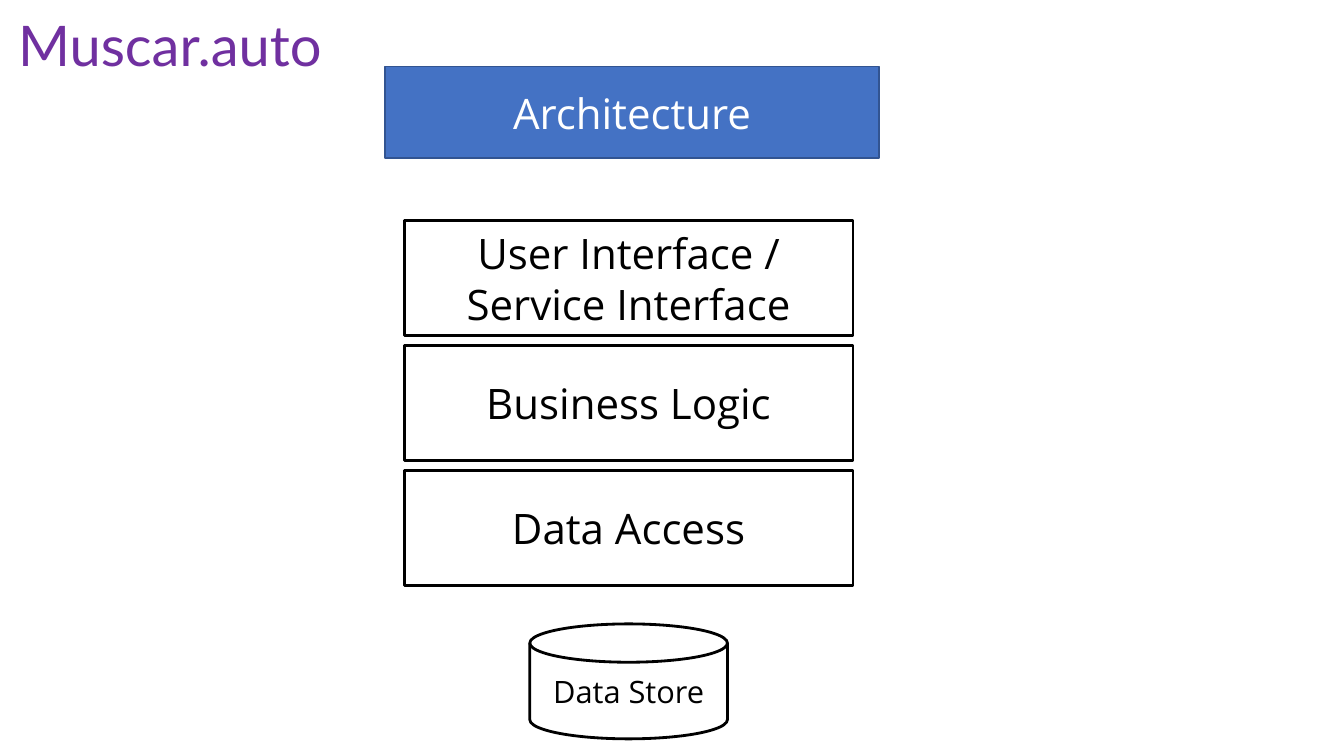
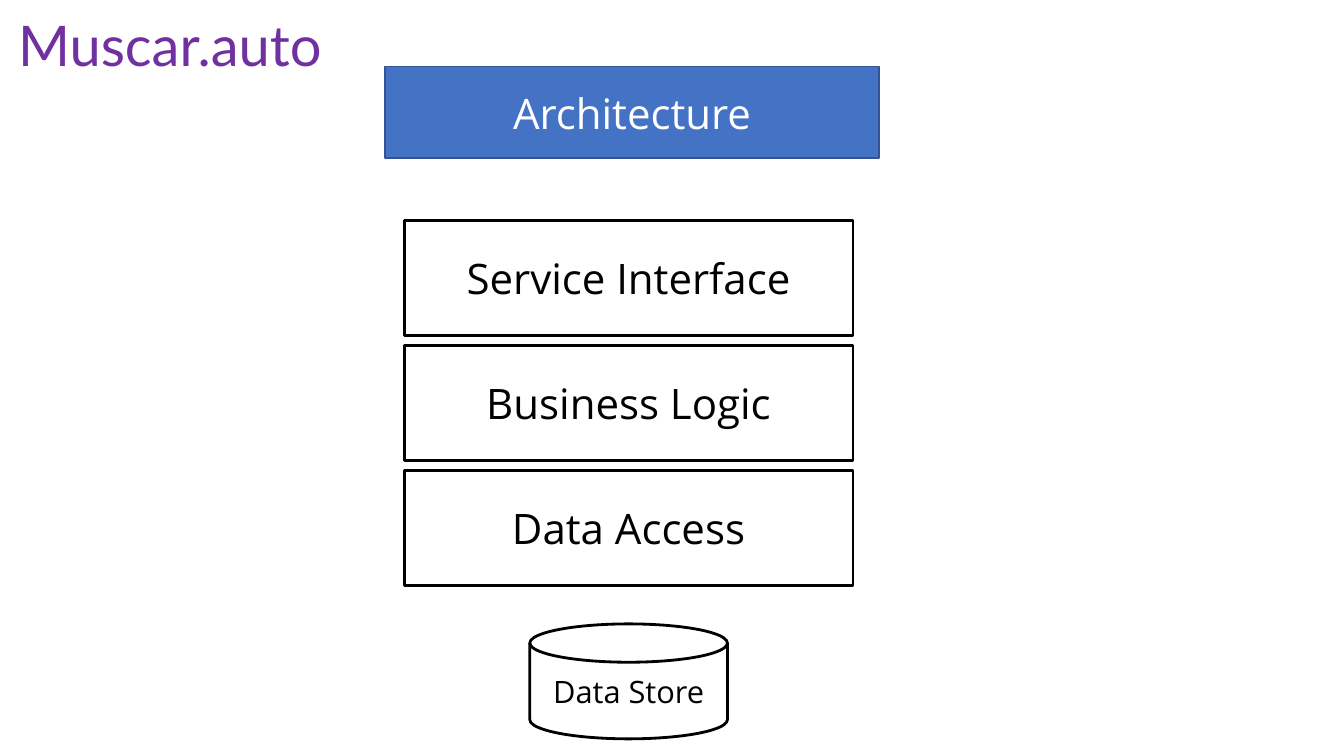
from dataclasses import dataclass

from pptx import Presentation
from pptx.dml.color import RGBColor
from pptx.enum.shapes import MSO_SHAPE
from pptx.enum.text import MSO_ANCHOR, MSO_AUTO_SIZE, PP_ALIGN
from pptx.util import Inches, Pt

RECT = MSO_SHAPE.RECTANGLE
DISK = MSO_SHAPE.FLOWCHART_MAGNETIC_DISK
MIDDLE = MSO_ANCHOR.MIDDLE
NO_FIT = MSO_AUTO_SIZE.NONE
LEFT = PP_ALIGN.LEFT
CENTER = PP_ALIGN.CENTER


@dataclass(frozen=True)
class Theme:
    blue: RGBColor = RGBColor(0x44, 0x72, 0xC4)
    dark_blue: RGBColor = RGBColor(0x32, 0x54, 0x91)
    purple: RGBColor = RGBColor(0x70, 0x30, 0xA0)
    black: RGBColor = RGBColor(0, 0, 0)
    white: RGBColor = RGBColor(255, 255, 255)
    title_font: str = "Lato"
    body_font: str = "Open Sans"
    title_size: int = 40
    box_size: int = 30
    disk_size: int = 22


THEME = Theme()


def set_text(sp, text, *, size=THEME.box_size, color=THEME.black,
             font=THEME.body_font, align=CENTER, spacing=None, after=None):
    tf = sp.text_frame
    tf.word_wrap = True
    tf.auto_size = NO_FIT
    tf.vertical_anchor = MIDDLE
    p = tf.paragraphs[0]
    p.alignment = align
    if spacing is not None:
        p.line_spacing = spacing
    if after is not None:
        p.space_after = Pt(after)
    r = p.add_run()
    r.text = text
    r.font.name = font
    r.font.size = Pt(size)
    r.font.color.rgb = color


def add_box(slide, kind, left, top, width, height, text, *,
            fill=None, line=THEME.black, weight=2, **text_format):
    sp = slide.shapes.add_shape(
        kind, Inches(left), Inches(top), Inches(width), Inches(height))
    sp.shadow.inherit = False
    if fill is None:
        sp.fill.background()
    else:
        sp.fill.solid()
        sp.fill.fore_color.rgb = fill
    sp.line.color.rgb = line
    sp.line.width = Pt(weight)
    set_text(sp, text, **text_format)


LAYER_LEFT, LAYER_TOP, LAYER_WIDTH, LAYER_HEIGHT = 4.01, 2.19, 4.45, 1.14
LAYER_GAP = 0.1
DISK_WIDTH = 1.96
DISK_LEFT = LAYER_LEFT + (LAYER_WIDTH - DISK_WIDTH) / 2
TOP_LAYERS = ["User Interface / Service Interface", "Service Interface"]
SHARED_LAYERS = ["Business Logic", "Data Access"]

prs = Presentation()
prs.slide_width = Inches(13.33)
prs.slide_height = Inches(7.5)
title_only = prs.slide_layouts[5]

for top_layer in TOP_LAYERS:
    slide = prs.slides.add_slide(title_only)

    title = slide.shapes.title
    title.left, title.top = Inches(0.08), Inches(0.09)
    title.width, title.height = Inches(5.6), Inches(0.77)
    set_text(title, "Muscar.auto", size=THEME.title_size, color=THEME.purple,
             font=THEME.title_font, align=LEFT, spacing=0.9, after=6)

    add_box(slide, RECT, 3.82, 0.66, 4.9, 0.91, "Architecture",
            fill=THEME.blue, line=THEME.dark_blue, weight=1, color=THEME.white)

    for i, layer in enumerate([top_layer, *SHARED_LAYERS]):
        add_box(slide, RECT, LAYER_LEFT, LAYER_TOP + i * (LAYER_HEIGHT + LAYER_GAP),
                LAYER_WIDTH, LAYER_HEIGHT, layer)

    add_box(slide, DISK, DISK_LEFT, 6.19, DISK_WIDTH, LAYER_HEIGHT, "Data Store",
            size=THEME.disk_size)

prs.save("out.pptx")
